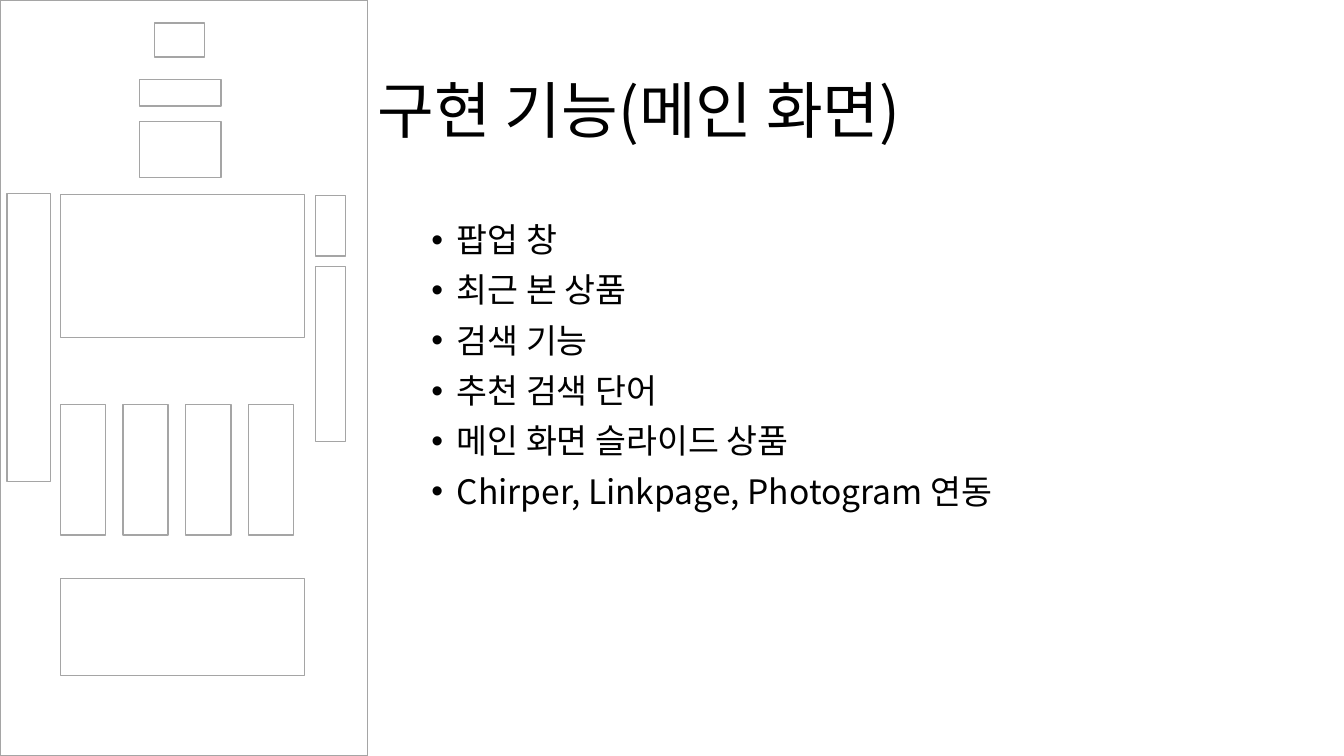
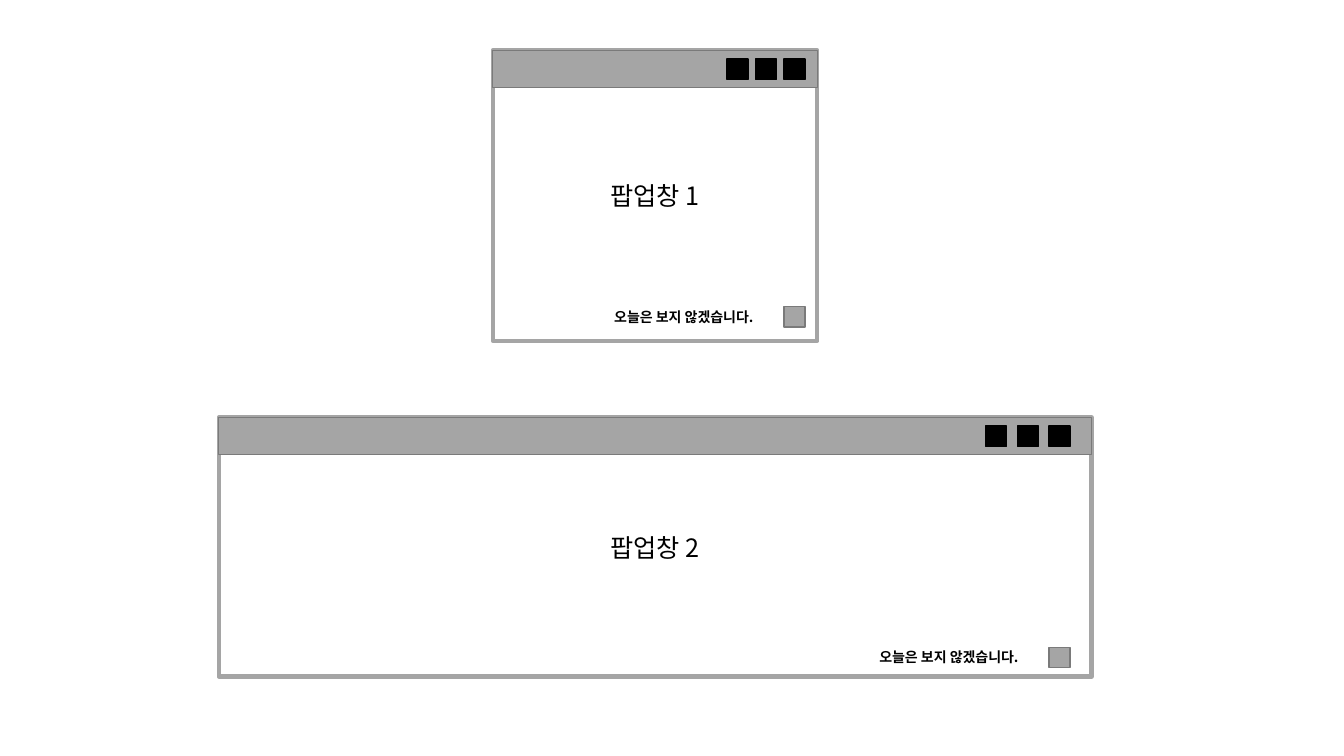
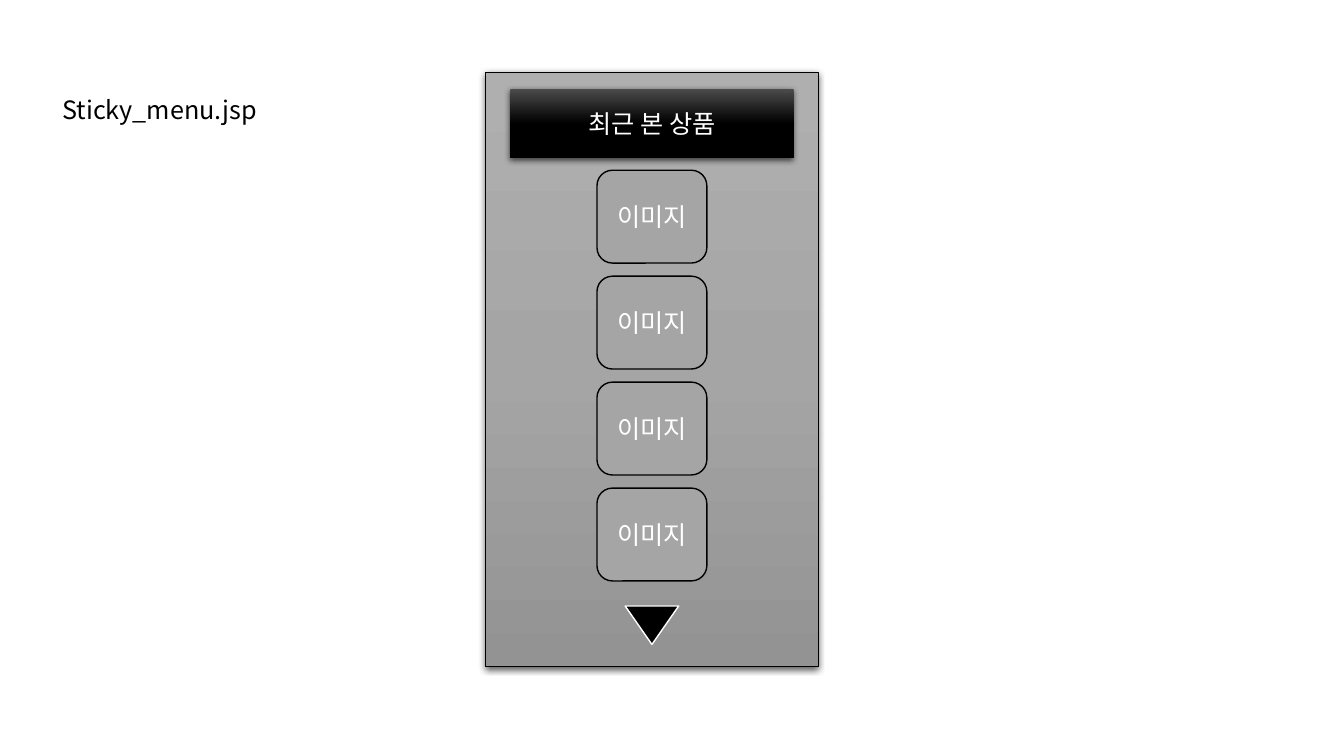
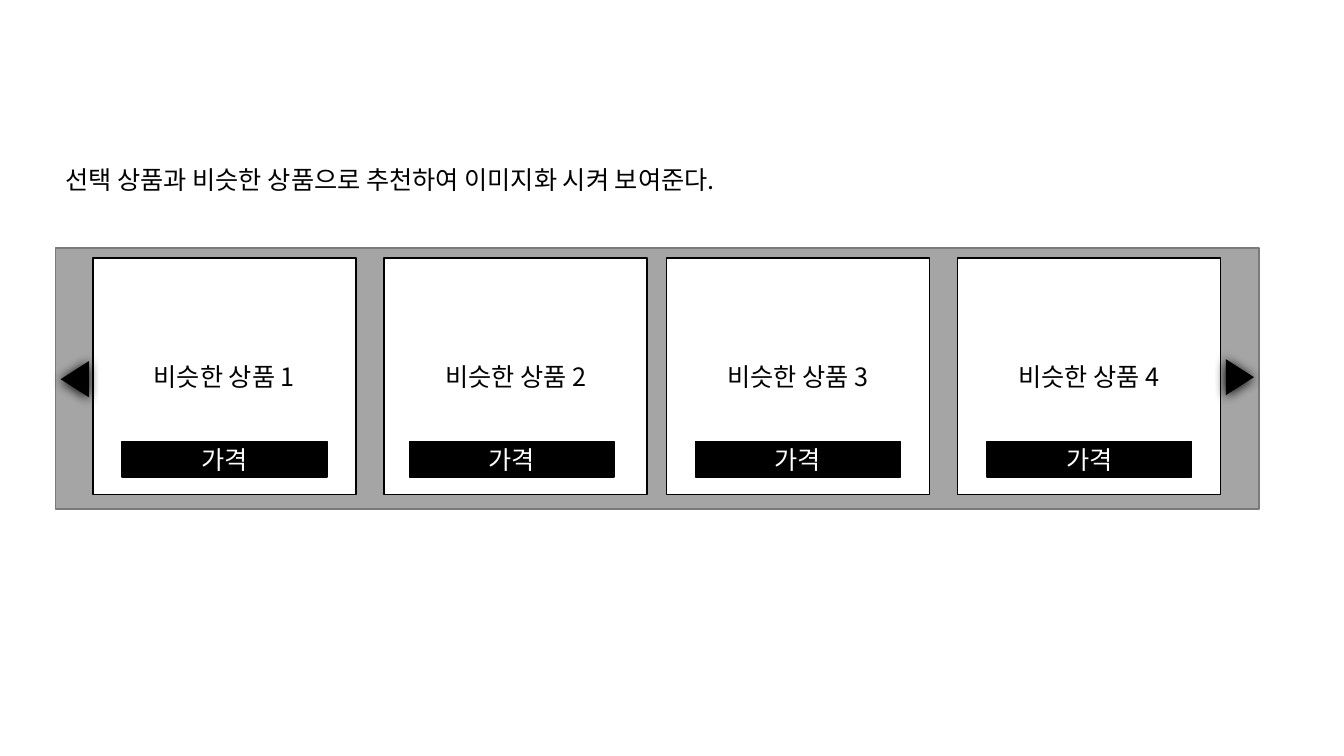
from collections import namedtuple

from lxml import etree
from pptx import Presentation
from pptx import util as u
from pptx.dml.color import RGBColor
from pptx.enum import shapes, text
from pptx.oxml import ns

FONT = "Noto Sans CJK KR"
BLACK, WHITE, GREY, DARK_GREY = "000000", "FFFFFF", "A5A5A5", "7A7A7A"
PANEL_FADE = ("AFAFAF", "A5A5A5", "939393")
HEADER_FADE = ("4B4B4B", "000000", "000000")
KIND = shapes.MSO_SHAPE

Box = namedtuple("Box", "left top width height")  # centimetres
Shadow = namedtuple("Shadow", "opacity blur distance")  # percent, points, points
SOFT_SHADOW = Shadow(63, 4.5, 1.5)
ARROW_SHADOW = Shadow(100, 8.5, 1)


def inside(outer, left, top, width, height):
    """Turn a place relative to outer into a place on the slide."""
    return Box(outer.left + left, outer.top + top, width, height)


def centred(outer, top, width, height):
    return inside(outer, (outer.width - width) / 2, top, width, height)


def lengths(box):
    return [u.Cm(value) for value in box]


def colour(value):
    return RGBColor.from_string(value)


def child(parent, tag, **attributes):
    return etree.SubElement(parent, ns.qn(tag), **attributes)


def add_span(para, words, size, ink, bold=False):
    span = para.add_run()
    span.text = words
    span.font.size = u.Pt(size)
    span.font.name = FONT
    span.font.color.rgb = colour(ink)
    if bold:
        span.font.bold = True
    child(span._r.get_or_add_rPr(), "a:ea", typeface=FONT)


def fade(shape, stops):
    """Fill the shape from top to bottom with evenly spaced colours."""
    shape.fill.gradient()
    shape.fill.gradient_angle = 270
    stop_list = shape._element.spPr.find(".//" + ns.qn("a:gsLst"))
    for old in list(stop_list):
        stop_list.remove(old)
    for index, value in enumerate(stops):
        place = 100000 * index // (len(stops) - 1)
        stop = child(stop_list, "a:gs", pos=str(place))
        child(stop, "a:srgbClr", val=value)


def cast_shadow(shape, shadow):
    effects = shape._element.spPr.find(ns.qn("a:effectLst"))
    outer = child(effects, "a:outerShdw", blurRad=str(u.Pt(shadow.blur)),
                  dist=str(u.Pt(shadow.distance)), dir="5400000",
                  algn="ctr", rotWithShape="0")
    ink = child(outer, "a:srgbClr", val=BLACK)
    child(ink, "a:alpha", val=str(shadow.opacity * 1000))


def add_figure(parent, box, fill, line=None, weight=1, kind=KIND.RECTANGLE,
               words=None, ink=BLACK, shadow=None, turn=0):
    """Add a preset shape; a tuple as fill makes a gradient."""
    shape = parent.add_shape(kind, *lengths(box))
    shape.shadow.inherit = False
    shape.rotation = turn
    if isinstance(fill, tuple):
        fade(shape, fill)
    else:
        shape.fill.solid()
        shape.fill.fore_color.rgb = colour(fill)
    if line:
        shape.line.color.rgb = colour(line)
        shape.line.width = u.Pt(weight)
    else:
        shape.line.fill.background()
    if shadow:
        cast_shadow(shape, shadow)
    if words:
        shape.text_frame.vertical_anchor = text.MSO_ANCHOR.MIDDLE
        para = shape.text_frame.paragraphs[0]
        para.alignment = text.PP_ALIGN.CENTER
        add_span(para, words, 18, ink)
    return shape


def add_frame(page, box, anchor=text.MSO_ANCHOR.TOP):
    frame = page.shapes.add_textbox(*lengths(box)).text_frame
    frame.word_wrap = True
    frame.vertical_anchor = anchor
    return frame


def add_label(page, box, words, size=18, bold=False):
    frame = add_frame(page, box)
    frame.auto_size = text.MSO_AUTO_SIZE.SHAPE_TO_FIT_TEXT
    add_span(frame.paragraphs[0], words, size, BLACK, bold)


def add_title(page, box, words):
    para = add_frame(page, box, text.MSO_ANCHOR.MIDDLE).paragraphs[0]
    para.line_spacing = 0.9
    add_span(para, words, 44, BLACK)


def add_bullets(page, box, items):
    frame = add_frame(page, box)
    indent = u.Cm(0.64)
    for index, item in enumerate(items):
        para = frame.add_paragraph() if index else frame.paragraphs[0]
        para.line_spacing = 0.9
        para.space_before = u.Pt(10)
        props = para._p.get_or_add_pPr()
        props.set("marL", str(indent))
        props.set("indent", str(-indent))
        child(props, "a:buFont", typeface="Arial")
        child(props, "a:buChar", char="•")
        add_span(para, item, 24, BLACK)


def add_wireframe(page, box):
    """Sketch the main screen as outlined blocks."""
    group = page.shapes.add_group_shape().shapes
    tiles = [(1.52 + 1.58 * index, 10.2, 1.14, 3.28) for index in range(4)]
    blocks = [
        (0, 0, box.width, box.height),
        (3.89, 0.58, 1.27, 0.86),
        (3.51, 2.01, 2.06, 0.66),
        (3.51, 3.07, 2.06, 1.4),
        (1.52, 4.9, 6.15, 3.61),
        (0.18, 4.88, 1.09, 7.26),
        (7.95, 4.93, 0.76, 1.52),
        (7.95, 6.71, 0.76, 4.42),
        *tiles,
        (1.52, 14.58, 6.15, 2.44),
    ]
    for block in blocks:
        add_figure(group, inside(box, *block), WHITE, GREY)


def add_popup(page, box, words, margin, step, check_rise):
    """Draw a window; margin is from the last button's left to the right edge."""
    parts = page.shapes
    add_figure(parts, box, WHITE, GREY, weight=3, words=words)
    add_figure(parts, box._replace(height=0.94), GREY, DARK_GREY)
    last = box.width - margin
    for index in range(3):
        button = inside(box, last - step * index, 0.22, 0.53, 0.51)
        add_figure(parts, button, BLACK, BLACK)
    check_top = box.height - check_rise
    add_figure(parts, inside(box, last, check_top, 0.53, 0.51), GREY, DARK_GREY)
    add_label(page, inside(box, last - 4.53, check_top - 0.09, 5.38, 0.69),
              "오늘은 보지 않겠습니다.", 10, bold=True)


def add_recent_panel(page, box):
    group = page.shapes.add_group_shape().shapes
    add_figure(group, box, PANEL_FADE, BLACK, weight=0.75, shadow=SOFT_SHADOW)
    add_figure(group, centred(box, 0.41, 7.14, 1.75), HEADER_FADE,
               words="최근 본 상품", ink=WHITE, shadow=SOFT_SHADOW)
    for index in range(4):
        add_figure(group, centred(box, 2.46 + 2.67 * index, 2.77, 2.34),
                   GREY, BLACK, kind=KIND.ROUNDED_RECTANGLE,
                   words="이미지", ink=WHITE)
    add_figure(group, centred(box, 13.44, 1.35, 0.97), BLACK, WHITE,
               kind=KIND.FLOWCHART_MERGE)


def add_carousel(page, box):
    group = page.shapes.add_group_shape().shapes
    add_figure(group, box, GREY, DARK_GREY)
    card_lefts = (0.94, 8.28, 15.39, 22.73)
    price_lefts = (1.68, 8.92, 16.13, 23.47)
    for number, (card, price) in enumerate(zip(card_lefts, price_lefts), 1):
        add_figure(group, inside(box, card, 0.25, 6.63, 5.97), WHITE, BLACK,
                   words=f"비슷한 상품 {number}")
        add_figure(group, inside(box, price, 4.88, 5.16, 0.89), BLACK, BLACK,
                   words="가격", ink=WHITE)
    for left, top, turn in ((0.03, 2.95, 270), (29.39, 2.9, 90)):
        add_figure(group, inside(box, left, top, 0.91, 0.71), BLACK,
                   kind=KIND.FLOWCHART_EXTRACT, shadow=ARROW_SHADOW, turn=turn)


def build_features(page):
    add_title(page, Box(9.27, 1.02, 22.28, 3.68), "구현 기능(메인 화면)")
    add_bullets(page, Box(10.62, 5.51, 19.38, 12.09), [
        "팝업 창",
        "최근 본 상품",
        "검색 기능",
        "추천 검색 단어",
        "메인 화면 슬라이드 상품",
        "Chirper, Linkpage, Photogram 연동",
    ])
    add_wireframe(page, Box(0, 0, 9.27, 19.05))


def build_popups(page):
    add_popup(page, Box(12.42, 1.27, 8.18, 7.32), "팝업창 1", 0.84, 0.72, 0.86)
    add_popup(page, Box(5.51, 10.52, 22, 6.53), "팝업창 2", 1.07, 0.8, 0.74)


def build_recent(page):
    add_recent_panel(page, Box(12.24, 1.83, 8.38, 14.96))
    add_label(page, Box(1.32, 2.24, 5.51, 1.02), "Sticky_menu.jsp")


def build_similar(page):
    add_carousel(page, Box(1.4, 6.25, 30.33, 6.58))
    add_label(page, Box(1.4, 4.01, 30.33, 1.02),
              "선택 상품과 비슷한 상품으로 추천하여 이미지화 시켜 보여준다.")


def main():
    deck = Presentation()
    deck.slide_width, deck.slide_height = u.Cm(33.87), u.Cm(19.05)
    blank = deck.slide_layouts[6]
    for build in (build_features, build_popups, build_recent, build_similar):
        build(deck.slides.add_slide(blank))
    deck.save("out.pptx")


if __name__ == "__main__":
    main()
